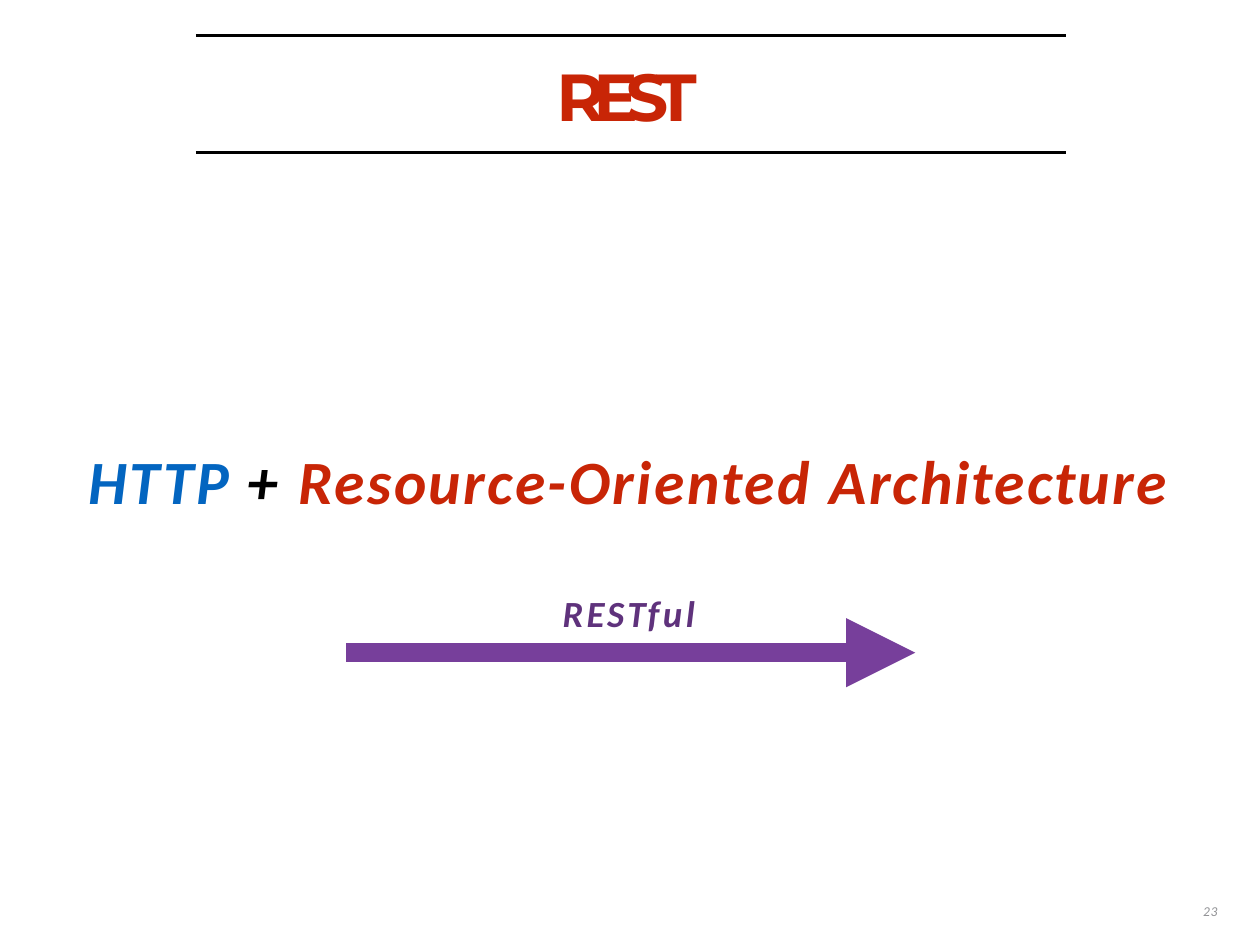
from dataclasses import dataclass

from pptx import Presentation
from pptx.dml.color import RGBColor as RGB
from pptx.enum.shapes import MSO_CONNECTOR as Link
from pptx.oxml.ns import qn
from pptx.util import Inches, Pt


@dataclass(frozen=True)
class Theme:
    head: str = "Montserrat"
    body: str = "Calibri"
    black: str = "000000"
    red: str = "C82506"
    blue: str = "0365C0"
    plum: str = "5F327C"
    violet: str = "773F9B"
    gray: str = "929396"
    title: int = 54
    big: int = 50
    label: int = 30
    small: int = 11
    rule: int = 2
    shaft: int = 15


T = Theme()

# Runs are (text, colour, letter spacing in points).
TEXTS = [
    dict(box=(2.21, 0.62, 9.81, 0.88), indent=4.07, size=T.title,
         font=T.head, bold=True, italic=False, runs=[("REST", T.red, -9.7)]),
    dict(box=(0.99, 5, 12.25, 0.86), indent=0.01, size=T.big,
         font=T.body, bold=True, italic=True,
         runs=[("HTTP ", T.blue, 1.9), ("+ ", T.black, 2.6),
               ("Resource-Oriented ", T.red, 2), ("Architecture", T.red, 1.7)]),
    dict(box=(6.33, 6.67, 1.56, 0.52), indent=0.02, size=T.label,
         font=T.body, bold=True, italic=True,
         runs=[("R", T.plum, 2.6), ("ES", T.plum, 2.4), ("T", T.plum, 1.7),
               ("fu", T.plum, 2.8), ("l", T.plum, 2.4)]),
    dict(box=(13.55, 10.21, 0.23, 0.18), indent=0.03, size=T.small,
         font=T.body, bold=False, italic=True, lead=11.8,
         runs=[("23", T.gray, 0.5)]),
]
RULES = dict(left=2.21, right=12.03, tops=(0.4, 1.72))
ARROW = dict(left=3.91, mid=7.37, end=9.65, neck=9.55, head=0.78)


def add_text(slide, box, indent, size, font, bold, italic, runs, lead=None):
    frame = slide.shapes.add_textbox(*map(Inches, box)).text_frame
    frame.word_wrap = True
    frame.margin_left = frame.margin_right = 0
    frame.margin_top = frame.margin_bottom = 0
    para = frame.paragraphs[0]
    para._p.get_or_add_pPr().set("marL", str(Inches(indent)))
    if lead:
        para.line_spacing = Pt(lead)
    for text, color, gap in runs:
        run = para.add_run()
        run.text = text
        run.font.name, run.font.size = font, Pt(size)
        run.font.bold, run.font.italic = bold, italic
        run.font.color.rgb = RGB.from_string(color)
        run._r.get_or_add_rPr().set("spc", str(round(gap * 100)))


def add_line(slide, left, right, top, color, width):
    ends = map(Inches, (left, top, right, top))
    line = slide.shapes.add_connector(Link.STRAIGHT, *ends)
    line.line.color.rgb = RGB.from_string(color)
    line.line.width = Pt(width)
    props = line._element.spPr
    props.append(props.makeelement(qn("a:effectLst"), {}))


def add_arrow(slide, left, mid, end, neck, head):
    """Draw a thick shaft whose end lies under a solid triangle."""
    add_line(slide, left, end, mid, T.violet, T.shaft)
    top, low = mid - head / 2, mid + head / 2
    pen = slide.shapes.build_freeform(Inches(neck), Inches(top))
    pen.add_line_segments([(Inches(neck), Inches(low)),
                           (Inches(neck + head), Inches(mid))])
    tip = pen.convert_to_shape()
    tip.shadow.inherit = False
    tip.fill.solid()
    tip.fill.fore_color.rgb = RGB.from_string(T.violet)
    tip.line.fill.background()


def main():
    deck = Presentation()
    deck.slide_width, deck.slide_height = Inches(14.22), Inches(10.67)
    slide = deck.slides.add_slide(deck.slide_layouts[6])
    for top in RULES["tops"]:
        add_line(slide, RULES["left"], RULES["right"], top, T.black, T.rule)
    for text in TEXTS:
        add_text(slide, **text)
    add_arrow(slide, **ARROW)
    deck.save("out.pptx")


if __name__ == "__main__":
    main()
